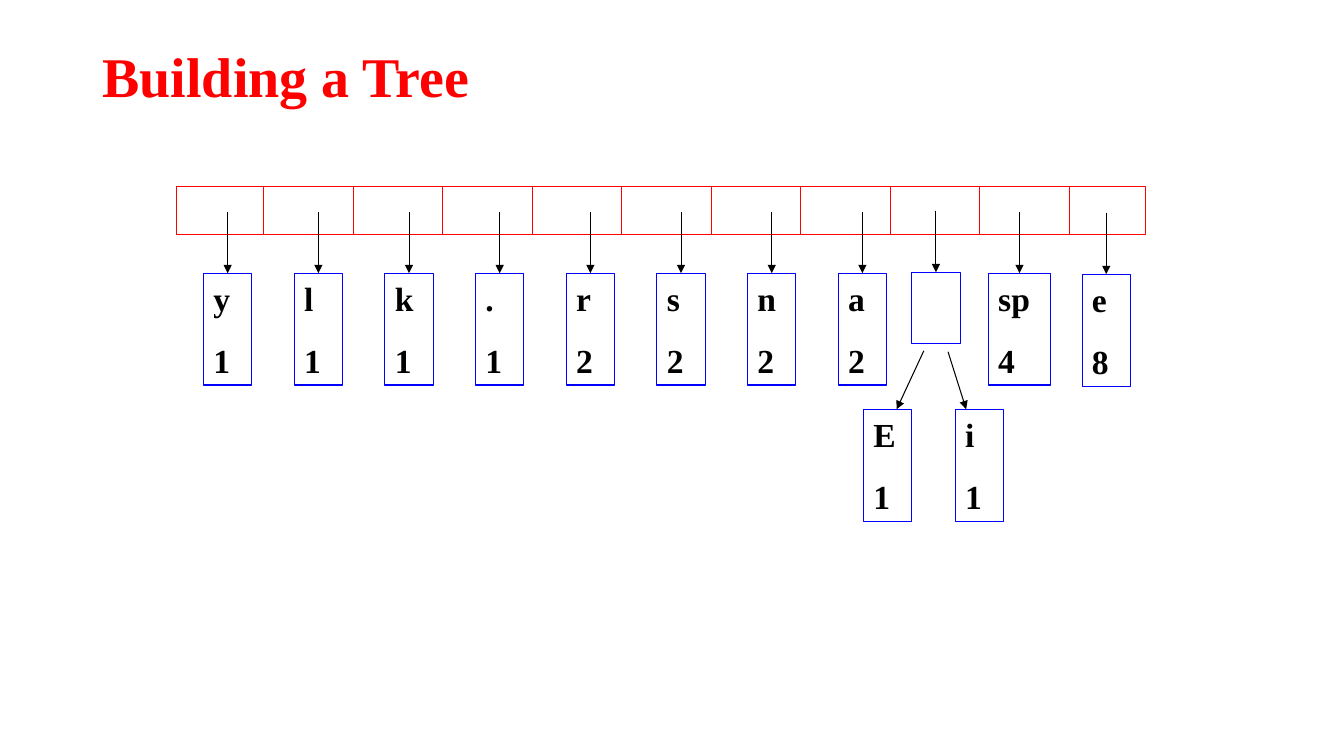
from pptx import Presentation
from pptx.dml.color import RGBColor
from pptx.enum.shapes import MSO_CONNECTOR, MSO_SHAPE
from pptx.enum.text import MSO_ANCHOR, PP_ALIGN
from pptx.oxml.ns import qn
from pptx.util import Inches, Pt
from lxml import etree

RECTANGLE = MSO_SHAPE.RECTANGLE
STRAIGHT = MSO_CONNECTOR.STRAIGHT
TOP, MIDDLE, LEFT = MSO_ANCHOR.TOP, MSO_ANCHOR.MIDDLE, PP_ALIGN.LEFT

TITLE = "Building a Tree"
LEAVES = [("y", "1"), ("l", "1"), ("k", "1"), (".", "1"),
          ("r", "2"), ("s", "2"), ("n", "2"), ("a", "2")]
MERGED = {"labels": (), "box": (9.05, 2.7, 0.48, 0.71)}
LARGER = [(("sp", "4"), (9.81, 2.71, 0.62, 1.11)),
          (("e", "8"), (10.74, 2.72, 0.48, 1.11))]
CHILDREN = [(("E", "1"), (8.57, 4.06), (9.17, 3.48), (8.9, 4.06)),
            (("i", "1"), (9.48, 4.06), (9.41, 3.49), (9.59, 4.06))]

THEME = {
    "font": "Times New Roman",
    "title": RGBColor(255, 0, 0), "queue": RGBColor(255, 0, 0),
    "node": RGBColor(0, 0, 255), "ink": RGBColor(0, 0, 0),
    "paper": RGBColor(255, 255, 255),
    "title_size": Pt(40), "node_size": Pt(24),
    "node_gap": Pt(15), "line": Pt(0.75),
}

QUEUE_LEFT, QUEUE_TOP, QUEUE_WIDTH, QUEUE_HEIGHT = 1.75, 1.85, 9.62, 0.48
FIRST_DIVIDER, CELL_WIDTH = 2.62, 0.888
LEAF_LEFT, LEAF_TOP, LEAF_STEP = 2.02, 2.71, 0.9
NODE_WIDTH, NODE_HEIGHT = 0.48, 1.11
POINTER_RISE = 0.61

prs = Presentation()
prs.slide_width, prs.slide_height = Inches(13.34), Inches(7.5)
slide = prs.slides.add_slide(prs.slide_layouts[6])


def add_text(paragraph, text, size, color):
    paragraph.alignment = LEFT
    run = paragraph.add_run()
    run.text = text
    run.font.name = THEME["font"]
    run.font.size = size
    run.font.bold = True
    run.font.color.rgb = color


def add_line(start, end, color, arrow=False):
    line = slide.shapes.add_connector(
        STRAIGHT, *(Inches(value) for value in (*start, *end)))
    line.line.color.rgb = color
    line.line.width = THEME["line"]
    if arrow:
        etree.SubElement(line.line._get_or_add_ln(), qn("a:tailEnd"), type="triangle")
    etree.SubElement(line._element.spPr, qn("a:effectLst"))
    return line


def add_box(box, color):
    rectangle = slide.shapes.add_shape(RECTANGLE, *(Inches(value) for value in box))
    rectangle.shadow.inherit = False
    rectangle.line.color.rgb = color
    rectangle.line.width = THEME["line"]
    return rectangle


def add_node(labels, box):
    node = add_box(box, THEME["node"])
    node.fill.background()
    frame = node.text_frame
    frame.word_wrap = True
    frame.vertical_anchor = TOP
    for index, label in enumerate(labels):
        paragraph = frame.add_paragraph() if index else frame.paragraphs[0]
        if index:
            paragraph.space_before = THEME["node_gap"]
        add_text(paragraph, label, THEME["node_size"], THEME["ink"])
    return node


title = slide.shapes.add_textbox(Inches(0.92), Inches(0.4), Inches(11.5), Inches(0.77))
title.text_frame.word_wrap = True
title.text_frame.vertical_anchor = MIDDLE
title.text_frame.paragraphs[0].line_spacing = 0.9
add_text(title.text_frame.paragraphs[0], TITLE, THEME["title_size"], THEME["title"])

queue = add_box((QUEUE_LEFT, QUEUE_TOP, QUEUE_WIDTH, QUEUE_HEIGHT), THEME["queue"])
queue.fill.solid()
queue.fill.fore_color.rgb = THEME["paper"]

queued = [(labels, (LEAF_LEFT + LEAF_STEP * i, LEAF_TOP, NODE_WIDTH, NODE_HEIGHT))
          for i, labels in enumerate(LEAVES)]
queued += [(MERGED["labels"], MERGED["box"]), *LARGER]

for i in range(len(queued) - 1):
    x = FIRST_DIVIDER + CELL_WIDTH * i
    add_line((x, QUEUE_TOP), (x, QUEUE_TOP + QUEUE_HEIGHT), THEME["queue"])

for labels, box in queued:
    node = add_node(labels, box)
    left, top, width, _ = box
    center = left + width / 2
    pointer = add_line((center, top - POINTER_RISE), (center, top), THEME["ink"], arrow=True)
    pointer.end_connect(node, 0)

for labels, corner, start, end in CHILDREN:
    add_node(labels, (*corner, NODE_WIDTH, NODE_HEIGHT))
    add_line(start, end, THEME["ink"], arrow=True)

prs.save("out.pptx")
